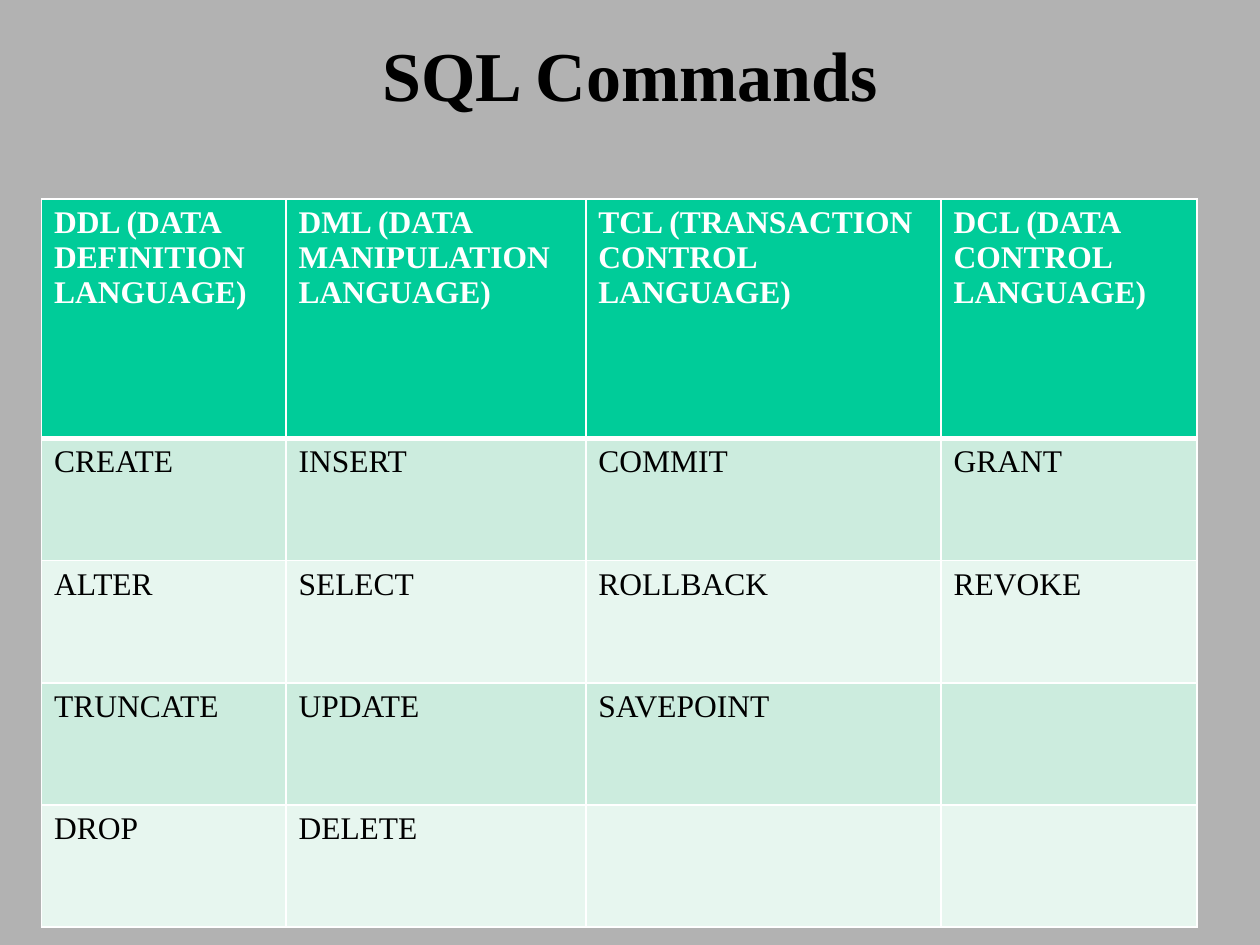
from dataclasses import dataclass

from lxml.etree import SubElement
from pptx import Presentation
from pptx.dml.color import RGBColor
from pptx.enum.text import MSO_ANCHOR, PP_ALIGN
from pptx.oxml.ns import qn
from pptx.slide import Slide
from pptx.table import _Cell as Cell
from pptx.text.text import _Paragraph as Para
from pptx.util import Inches, Pt


@dataclass(frozen=True)
class Theme:
    font: str = "Times New Roman"
    back: str = "B2B2B2"
    ink: str = "000000"
    white: str = "FFFFFF"
    head: str = "00CC99"
    bands: tuple[str, str] = ("CCECDE", "E7F6EF")
    title: int = 40
    body: int = 18
    thin: int = 1
    thick: int = 3


@dataclass(frozen=True)
class Group:
    name: str
    width: float
    items: tuple[str, ...]


THEME = Theme()
GROUPS = (
    Group("DDL (DATA DEFINITION LANGUAGE)", 1.94,
          ("CREATE", "ALTER", "TRUNCATE", "DROP")),
    Group("DML (DATA MANIPULATION LANGUAGE)", 2.38,
          ("INSERT", "SELECT", "UPDATE", "DELETE")),
    Group("TCL (TRANSACTION CONTROL LANGUAGE)", 2.82,
          ("COMMIT", "ROLLBACK", "SAVEPOINT")),
    Group("DCL (DATA CONTROL LANGUAGE)", 2.03, ("GRANT", "REVOKE")),
)
HEAD_H, ROW_H = 1.9, 0.97


def style(para: Para, size: int, color: str, bold: bool) -> None:
    font = para.font
    font.name, font.size, font.bold = THEME.font, Pt(size), bold
    font.color.rgb = RGBColor.from_string(color)


def add_title(slide: Slide, text: str) -> None:
    box = slide.shapes.add_textbox(Inches(0.75), 0, Inches(8.5), Inches(1.17))
    frame = box.text_frame
    frame.word_wrap = True
    frame.vertical_anchor = MSO_ANCHOR.MIDDLE
    para = frame.paragraphs[0]
    para.text = text
    para.alignment = PP_ALIGN.CENTER
    style(para, THEME.title, THEME.ink, True)


def add_edges(cell: Cell, row: int) -> None:
    # The rule between header and body is thicker than the rest
    heavy = {0: "lnB", 1: "lnT"}.get(row)
    props = cell._tc.get_or_add_tcPr()
    for side in ("lnL", "lnR", "lnT", "lnB"):
        width = THEME.thick if side == heavy else THEME.thin
        line = SubElement(props, qn(f"a:{side}"), w=str(Pt(width)))
        fill = SubElement(line, qn("a:solidFill"))
        SubElement(fill, qn("a:srgbClr"), val=THEME.white)


def fill_cell(cell: Cell, row: int, text: str) -> None:
    head = row == 0
    add_edges(cell, row)
    cell.fill.solid()
    color = THEME.head if head else THEME.bands[(row - 1) % 2]
    cell.fill.fore_color.rgb = RGBColor.from_string(color)
    para = cell.text_frame.paragraphs[0]
    if text:
        para.text = text
    style(para, THEME.body, THEME.white if head else THEME.ink, head)


def add_grid(slide: Slide, groups: tuple[Group, ...]) -> None:
    count = max(len(group.items) for group in groups)
    width = sum(group.width for group in groups)
    table = slide.shapes.add_table(
        count + 1, len(groups), Inches(0.33), Inches(1.58),
        Inches(width), Inches(HEAD_H + count * ROW_H)).table
    for row, line in enumerate(table.rows):
        line.height = Inches(ROW_H if row else HEAD_H)
    for col, group in enumerate(groups):
        table.columns[col].width = Inches(group.width)
        texts = (group.name, *group.items)
        for row in range(count + 1):
            text = texts[row] if row < len(texts) else ""
            fill_cell(table.cell(row, col), row, text)


def main() -> None:
    deck = Presentation()
    deck.slide_width, deck.slide_height = Inches(10), Inches(7.5)
    slide = deck.slides.add_slide(deck.slide_layouts[6])

    # Background
    back = slide.background.fill
    back.solid()
    back.fore_color.rgb = RGBColor.from_string(THEME.back)

    # Title and command table
    add_title(slide, "SQL Commands")
    add_grid(slide, GROUPS)
    deck.save("out.pptx")


if __name__ == "__main__":
    main()
